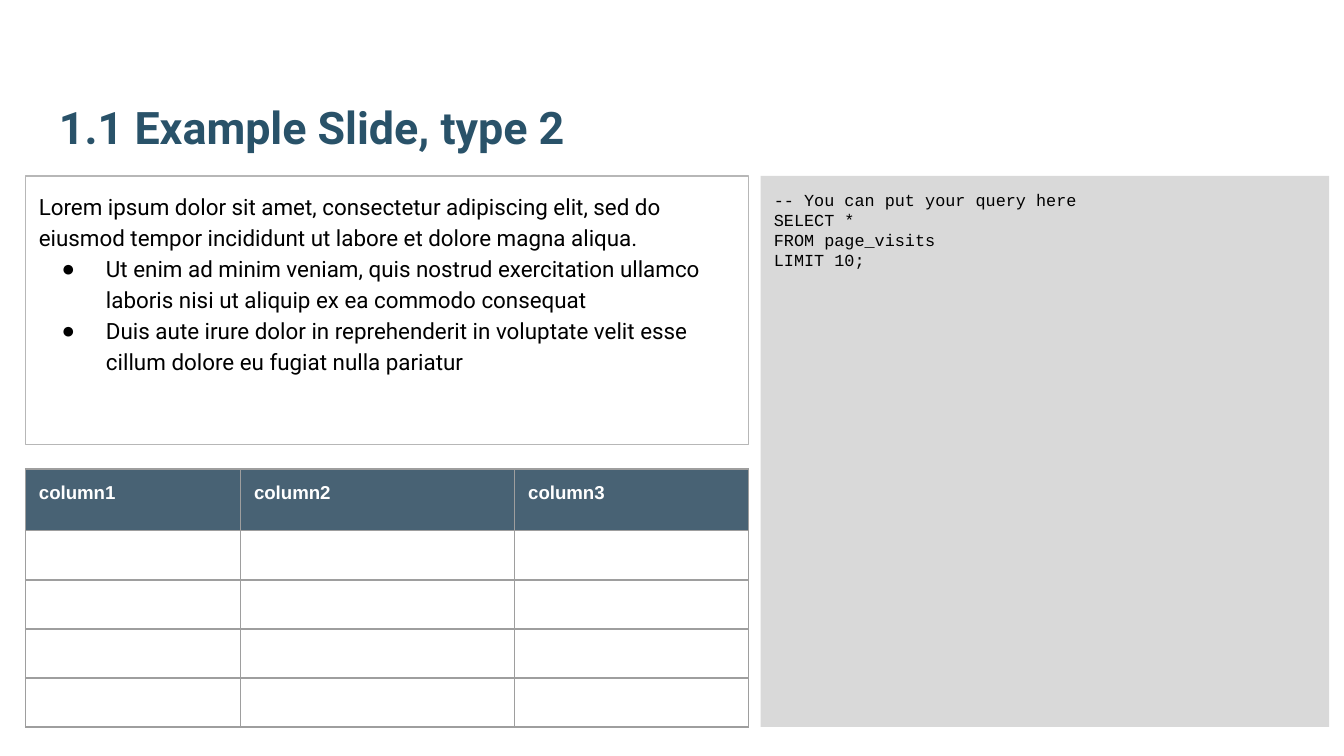
from pptx import Presentation
from pptx.dml.color import RGBColor
from pptx.enum.shapes import MSO_SHAPE as Shape
from pptx.enum.text import MSO_ANCHOR as Anchor, PP_ALIGN as Align
from pptx.oxml.ns import qn
from pptx.util import Inches, Pt
from lxml.etree import SubElement

COLORS = {
    "title": "295269",
    "text": "000000",
    "code_panel": "D9D9D9",
    "frame": "B7B7B7",
    "header": "204056",
    "header_text": "FFFFFF",
    "grid": "9E9E9E",
}


def rgb(name):
    return RGBColor.from_string(COLORS[name])


def write(paragraph, text, size=12, font="Roboto", color="text", bold=False, spacing=None, bullet=False):
    paragraph.alignment = Align.LEFT
    if spacing:
        paragraph.line_spacing = spacing
    if bullet:
        properties = paragraph._p.get_or_add_pPr()
        properties.set("marL", str(Inches(0.5)))
        properties.set("indent", str(Inches(-0.33)))
        bullet_color = SubElement(properties, qn("a:buClr"))
        SubElement(bullet_color, qn("a:srgbClr"), val=COLORS[color])
        SubElement(properties, qn("a:buFont"), typeface="Arial")
        SubElement(properties, qn("a:buChar"), char="●")
    run = paragraph.add_run()
    run.text = text
    run.font.size = Pt(size)
    run.font.name = font
    run.font.bold = bold
    run.font.color.rgb = rgb(color)


class SlideBuilder:
    """Holds the shared style and the current slide."""

    inset = Inches(0.1)
    line_width = Pt(0.75)

    def __init__(self, slide):
        self.slide = slide

    def prepare(self, frame, anchor=Anchor.TOP):
        frame.word_wrap = True
        frame.vertical_anchor = anchor
        frame.margin_left = frame.margin_right = self.inset
        frame.margin_top = frame.margin_bottom = self.inset

    def title(self, text, left, top, width, height):
        box = self.slide.shapes.add_textbox(Inches(left), Inches(top), Inches(width), Inches(height))
        self.prepare(box.text_frame, Anchor.BOTTOM)
        write(box.text_frame.paragraphs[0], text, size=24, color="title", bold=True)

    def panel(self, items, left, top, width, height, fill=None, line=None, **style):
        shape = self.slide.shapes.add_shape(
            Shape.RECTANGLE, Inches(left), Inches(top), Inches(width), Inches(height))
        shape.shadow.inherit = False
        if fill:
            shape.fill.solid()
            shape.fill.fore_color.rgb = rgb(fill)
        else:
            shape.fill.background()
        if line:
            shape.line.color.rgb = rgb(line)
            shape.line.width = self.line_width
        else:
            shape.line.fill.background()
        frame = shape.text_frame
        self.prepare(frame)
        for index, (text, bullet) in enumerate(items):
            paragraph = frame.add_paragraph() if index else frame.paragraphs[0]
            write(paragraph, text, bullet=bullet, **style)

    def border(self, cell):
        properties = cell._tc.get_or_add_tcPr()
        for index, side in enumerate(("lnL", "lnR", "lnT", "lnB")):
            line = properties.makeelement(qn(f"a:{side}"), {"w": str(self.line_width)})
            fill = SubElement(line, qn("a:solidFill"))
            SubElement(fill, qn("a:srgbClr"), val=COLORS["grid"])
            properties.insert(index, line)

    def header_cell(self, cell, text):
        cell.margin_left = cell.margin_right = self.inset
        cell.margin_top = cell.margin_bottom = self.inset
        cell.fill.solid()
        cell.fill.fore_color.rgb = rgb("header")
        color = cell._tc.tcPr.find(qn("a:solidFill")).find(qn("a:srgbClr"))
        SubElement(color, qn("a:alpha"), val="82000")
        write(cell.text_frame.paragraphs[0], text, size=10, font="Arial", color="header_text", bold=True)

    def table(self, headers, left, top, widths, heights):
        table = self.slide.shapes.add_table(
            len(heights), len(widths), Inches(left), Inches(top),
            Inches(sum(widths)), Inches(sum(heights))).table
        table.horz_banding = False
        for column, width in zip(table.columns, widths):
            column.width = Inches(width)
        for row, height in zip(table.rows, heights):
            row.height = Inches(height)
            for cell in row.cells:
                cell.margin_top = cell.margin_bottom = 0
                cell.fill.background()
                self.border(cell)
        for cell, text in zip(table.rows[0].cells, headers):
            self.header_cell(cell, text)


def main():
    presentation = Presentation()
    presentation.slide_width = Inches(10)
    presentation.slide_height = presentation.slide_width * 9 // 16
    builder = SlideBuilder(presentation.slides.add_slide(presentation.slide_layouts[6]))

    builder.title("1.1 Example Slide, type 2", 0.34, 0.32, 9.32, 0.92)
    query = ["-- You can put your query here", "SELECT *", "FROM page_visits", "LIMIT 10;"]
    builder.panel([(line, False) for line in query], 5.66, 1.31, 4.23, 4.1,
                  fill="code_panel", size=9, font="Courier New")
    notes = [
        ("Lorem ipsum dolor sit amet, consectetur adipiscing elit, sed do eiusmod tempor "
         "incididunt ut labore et dolore magna aliqua.", False),
        ("Ut enim ad minim veniam, quis nostrud exercitation ullamco laboris nisi ut aliquip "
         "ex ea commodo consequat", True),
        ("Duis aute irure dolor in reprehenderit in voluptate velit esse cillum dolore eu "
         "fugiat nulla pariatur", True),
    ]
    builder.panel(notes, 0.19, 1.31, 5.38, 2, line="frame", spacing=1.15)
    header_height, body_rows = 0.46, 4
    body_height = (1.92 - header_height) / body_rows
    builder.table(["column1", "column2", "column3"], 0.19, 3.49,
                  [1.6, 2.04, 1.74], [header_height] + [body_height] * body_rows)

    presentation.save("out.pptx")


if __name__ == "__main__":
    main()
